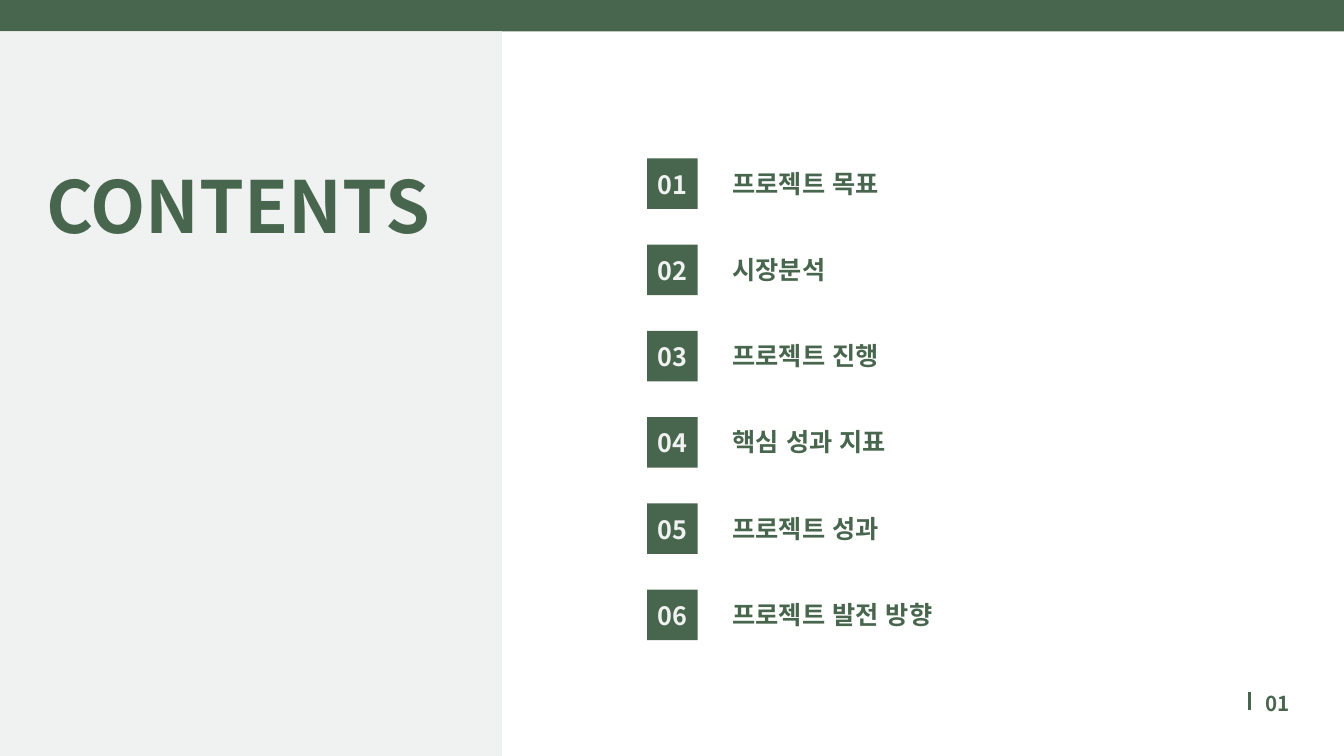
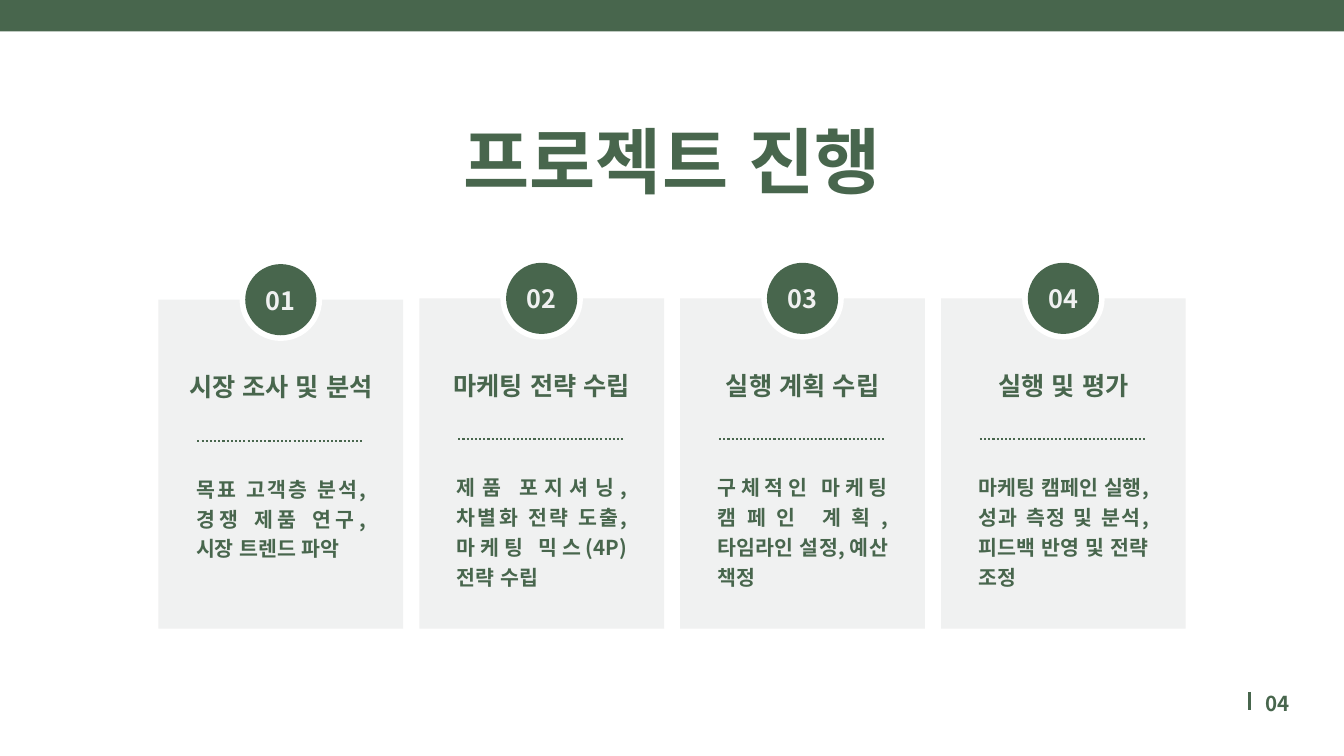
import lxml.etree
import pptx
import pptx.dml.color
import pptx.enum.dml
import pptx.enum.lang
import pptx.enum.shapes
import pptx.enum.text
import pptx.oxml.ns
import pptx.util

Cm = pptx.util.Cm
Pt = pptx.util.Pt
ALIGN = pptx.enum.text.PP_ALIGN
ANCHOR = pptx.enum.text.MSO_ANCHOR
AUTO_SIZE = pptx.enum.text.MSO_AUTO_SIZE
SHAPE = pptx.enum.shapes.MSO_SHAPE

SECTIONS = [
    ("프로젝트 목표", 6.73),
    ("시장분석", 6.73),
    ("프로젝트 진행", 6.73),
    ("핵심 성과 지표", 6.73),
    ("프로젝트 성과", 6.73),
    ("프로젝트 발전 방향", 10.21),
]
STEPS = [
    ("시장 조사 및 분석", "목표 고객층 분석, 경쟁 제품 연구, 시장 트렌드 파악", 11.33),
    ("마케팅 전략 수립", "제품 포지셔닝, 차별화 전략 도출, 마케팅 믹스(4P) 전략 수립", 11.28),
    ("실행 계획 수립", "구체적인 마케팅 캠페인 계획, 타임라인 설정, 예산 책정", 11.28),
    ("실행 및 평가", "마케팅 캠페인 실행, 성과 측정 및 분석, 피드백 반영 및 전략 조정", 11.28),
]


def color(value):
    return pptx.dml.color.RGBColor.from_string(value)


def set_attributes(target, values):
    for name, value in values.items():
        setattr(target, name, value)


class Deck:
    green = "48664D"
    gray = "F0F1F1"
    white = "FFFFFF"
    font = "Noto Sans CJK KR"
    width = 50.8
    height = 28.58
    band_height = 1.19

    def __init__(self):
        self.presentation = pptx.Presentation()
        self.presentation.slide_width = Cm(self.width)
        self.presentation.slide_height = Cm(self.height)
        self.slide = None

    def add_slide(self, page):
        layout = self.presentation.slide_layouts.get_by_name("Title Only")
        self.slide = self.presentation.slides.add_slide(layout)
        self.block(0, 0, self.width, self.band_height, self.green)
        self.line(47.22, 26.16, 47.22, 26.85, 3.75)
        self.text(page, 47.52, 25.96, 1.22, 1.07, 22, 30.8, ALIGN.RIGHT)

    def fill_text(self, shape, text, size, spacing, align, fill, frame_format):
        frame = shape.text_frame
        margins = dict.fromkeys(
            ("margin_left", "margin_top", "margin_right", "margin_bottom"), 0
        )
        set_attributes(frame, {**margins, "word_wrap": True, **frame_format})
        paragraph = frame.paragraphs[0]
        set_attributes(paragraph, {"alignment": align, "line_spacing": Pt(spacing)})
        run = paragraph.add_run()
        run.text = text
        set_attributes(run.font, {
            "name": self.font,
            "size": Pt(size),
            "bold": True,
            "language_id": pptx.enum.lang.MSO_LANGUAGE_ID.KOREAN,
        })
        run.font.color.rgb = color(fill)
        lxml.etree.SubElement(
            run._r.get_or_add_rPr(), pptx.oxml.ns.qn("a:ea"), typeface=self.font
        )

    def title(self, text, left, top, width):
        shape = self.slide.shapes.title
        set_attributes(shape, {
            "left": Cm(left), "top": Cm(top), "width": Cm(width), "height": Cm(3.66),
        })
        self.fill_text(shape, text, 77, 107.8, ALIGN.CENTER, self.green, {
            "vertical_anchor": ANCHOR.TOP, "auto_size": AUTO_SIZE.NONE,
        })
        self.slide.shapes.element.append(shape.element)

    def text(self, text, left, top, width, height, size, spacing, align=ALIGN.LEFT):
        box = self.slide.shapes.add_textbox(Cm(left), Cm(top), Cm(width), Cm(height))
        self.fill_text(box, text, size, spacing, align, self.green, {
            "vertical_anchor": ANCHOR.TOP, "auto_size": AUTO_SIZE.SHAPE_TO_FIT_TEXT,
        })

    def block(self, left, top, width, height, fill, kind=SHAPE.RECTANGLE):
        shape = self.slide.shapes.add_shape(
            kind, Cm(left), Cm(top), Cm(width), Cm(height)
        )
        shape.shadow.inherit = False
        shape.fill.solid()
        shape.fill.fore_color.rgb = color(fill)
        shape.line.fill.background()
        return shape

    def badge(self, number, left, top, side, kind=SHAPE.RECTANGLE):
        shape = self.block(left, top, side, side, self.green, kind)
        self.fill_text(shape, f"{number:02d}", 27, 37.8, ALIGN.CENTER, self.gray, {
            "vertical_anchor": ANCHOR.MIDDLE, "margin_bottom": Cm(0.15),
        })

    def line(self, left, top, right, bottom, weight, dash=None):
        connector = self.slide.shapes.add_connector(
            pptx.enum.shapes.MSO_CONNECTOR.STRAIGHT,
            Cm(left), Cm(top), Cm(right), Cm(bottom),
        )
        connector.line.color.rgb = color(self.green)
        set_attributes(connector.line, {"width": Pt(weight), "dash_style": dash})
        lxml.etree.SubElement(
            connector.element.spPr, pptx.oxml.ns.qn("a:effectLst")
        )


def build_contents(deck):
    deck.add_slide("01")
    deck.block(0, deck.band_height, 18.97, deck.height - deck.band_height, deck.gray)
    deck.title("CONTENTS", 1.47, 5.56, 15.06)
    for index, (label, width) in enumerate(SECTIONS):
        top = 5.99 + index * 3.26
        deck.badge(index + 1, 24.46, top, 1.91)
        deck.text(label, 27.69, top + 0.36, width, 1.17, 27, 32.4)


def build_progress(deck):
    card_width, card_pitch, card_bottom = 9.25, 9.86, 23.77
    ring, circle = 3.12, 2.69
    deck.add_slide("04")
    deck.title("프로젝트 진행", 13.84, 3.86, 23.14)
    for index, (heading, body, top) in enumerate(STEPS):
        left = 5.99 + index * card_pitch
        center = left + card_width / 2
        deck.block(left, top, card_width, card_bottom - top, deck.gray)
        deck.block(center - ring / 2, top - ring / 2, ring, ring, deck.white, SHAPE.OVAL)
        deck.badge(index + 1, center - circle / 2, top - circle / 2, circle, SHAPE.OVAL)
        deck.text(heading, left, top + 2.72, card_width, 1.17, 27, 32.4, ALIGN.CENTER)
        deck.line(left + 1.47, top + 5.33, left + 7.77, top + 5.33, 2.25,
                  pptx.enum.dml.MSO_LINE.ROUND_DOT)
        deck.text(body, left + 1.42, top + 6.5, 6.43, 4.42, 22, 31.9, ALIGN.JUSTIFY)


def main():
    deck = Deck()
    build_contents(deck)
    build_progress(deck)
    deck.presentation.save("out.pptx")


if __name__ == "__main__":
    main()
